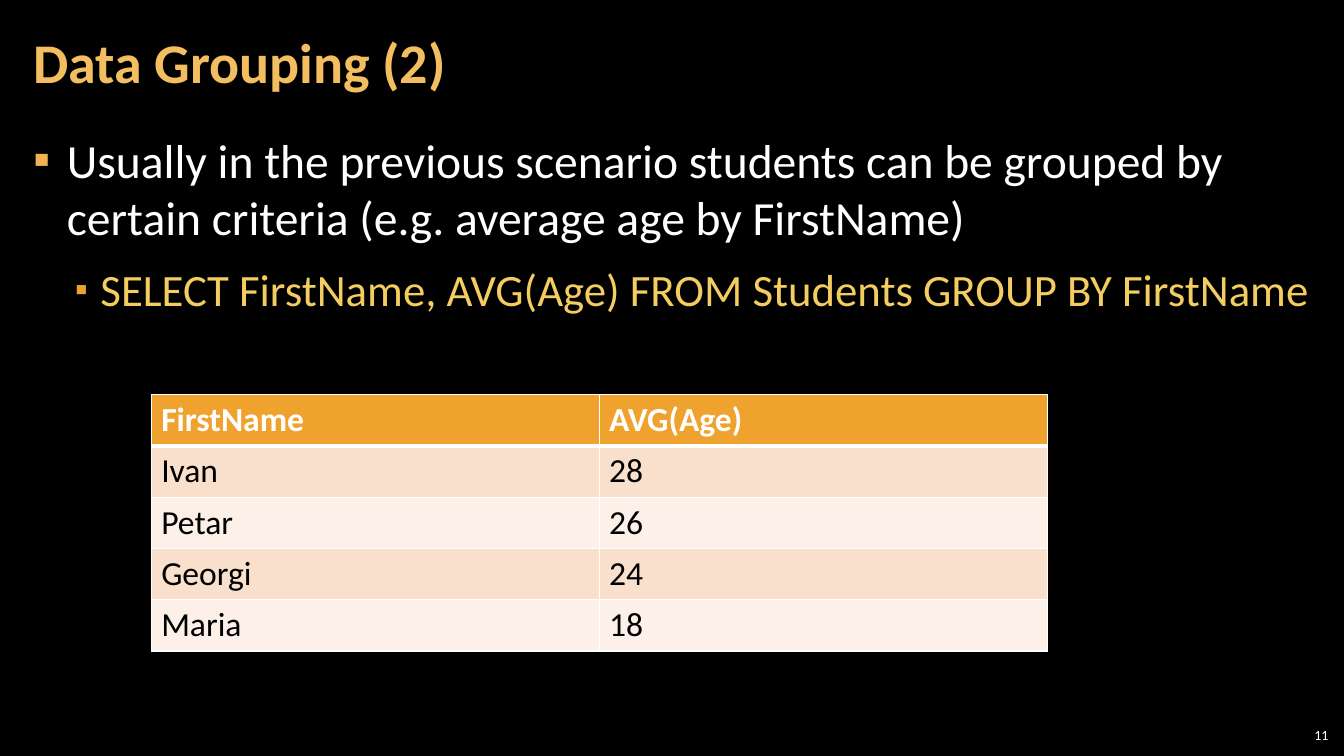
from lxml import etree
from pptx import Presentation
from pptx.dml.color import RGBColor
from pptx.enum import text
from pptx.oxml import ns
from pptx.util import Pt

BLACK = RGBColor(0x00, 0x00, 0x00)
WHITE = RGBColor(0xFF, 0xFF, 0xFF)
TITLE_GOLD = RGBColor(0xF3, 0xBE, 0x60)
QUERY_GOLD = RGBColor(0xF3, 0xCD, 0x60)
BULLET_GOLD = RGBColor(0xF2, 0xB2, 0x54)
ORANGE = RGBColor(0xF0, 0xA2, 0x2E)
PEACH = RGBColor(0xF9, 0xE0, 0xCD)
CREAM = RGBColor(0xFC, 0xF0, 0xE8)


def add_box(left, top, width, height, side_inset, anchor):
    box = page.shapes.add_textbox(Pt(left), Pt(top), Pt(width), Pt(height))
    frame = box.text_frame
    frame.word_wrap = True
    frame.vertical_anchor = anchor
    frame.margin_left = frame.margin_right = Pt(side_inset)
    frame.margin_top = frame.margin_bottom = Pt(2.88)
    return frame


def add_span(para, words, size, color, bold=False):
    span = para.add_run()
    span.text = words
    span.font.name = "Calibri"
    span.font.size = Pt(size)
    span.font.bold = bold
    span.font.color.rgb = color


deck = Presentation()
deck.slide_width, deck.slide_height = Pt(960), Pt(540)
page = deck.slides.add_slide(deck.slide_layouts[6])
page.background.fill.solid()
page.background.fill.fore_color.rgb = BLACK

title = add_box(15.12, 2.88, 753.84, 87.12, 8.64, text.MSO_ANCHOR.MIDDLE)
title.paragraphs[0].line_spacing = 0.9
add_span(title.paragraphs[0], "Data Grouping (2)", 40, TITLE_GOLD, True)

body = add_box(15.12, 90.72, 929.52, 438.48, 8.64, text.MSO_ANCHOR.TOP)
points = [
    ("Usually in the previous scenario students can be grouped by "
     "certain criteria (e.g. average age by FirstName)",
     34, WHITE, 24, 24, BULLET_GOLD, 100),
    ("SELECT FirstName, AVG(Age) FROM Students GROUP BY FirstName",
     32, QUERY_GOLD, 48, 18, ORANGE, 80),
]
for level, (words, size, color, margin, hang, bullet_color, percent) in enumerate(points):
    para = body.add_paragraph() if level else body.paragraphs[0]
    para.level = level
    para.space_before = para.space_after = Pt(6)
    add_span(para, words, size, color)
    props = para._p.get_or_add_pPr()
    props.set("marL", str(Pt(margin)))
    props.set("indent", str(-Pt(hang)))
    bullet_fill = etree.SubElement(props, ns.qn("a:buClr"))
    etree.SubElement(bullet_fill, ns.qn("a:srgbClr"), val=str(bullet_color))
    etree.SubElement(props, ns.qn("a:buSzPct"), val=str(percent * 1000))
    etree.SubElement(props, ns.qn("a:buFont"), typeface="Calibri")
    etree.SubElement(props, ns.qn("a:buChar"), char="▪")

number = add_box(903.6, 516.24, 48.24, 18, 2.88, text.MSO_ANCHOR.MIDDLE)
number.paragraphs[0].alignment = text.PP_ALIGN.RIGHT
add_span(number.paragraphs[0], "11", 10, WHITE)

averages = [
    ("FirstName", "AVG(Age)"),
    ("Ivan", "28"),
    ("Petar", "26"),
    ("Georgi", "24"),
    ("Maria", "18"),
]
table = page.shapes.add_table(
    len(averages), 2, Pt(108), Pt(282), Pt(640), Pt(183)).table
for row, values in enumerate(averages):
    table.rows[row].height = Pt(36.6)
    header = row == 0
    for column, value in enumerate(values):
        cell = table.cell(row, column)
        add_span(cell.text_frame.paragraphs[0], value, 24,
                 WHITE if header else BLACK, header)
        props = cell._tc.get_or_add_tcPr()
        for side in ("L", "R", "T", "B"):
            thick = (row, side) in ((0, "B"), (1, "T"))
            border = etree.SubElement(props, ns.qn("a:ln" + side),
                                      w=str(Pt(3 if thick else 1)))
            paint = etree.SubElement(border, ns.qn("a:solidFill"))
            etree.SubElement(paint, ns.qn("a:srgbClr"), val=str(WHITE))
        cell.fill.solid()
        cell.fill.fore_color.rgb = ORANGE if header else (CREAM, PEACH)[row % 2]

deck.save("out.pptx")
